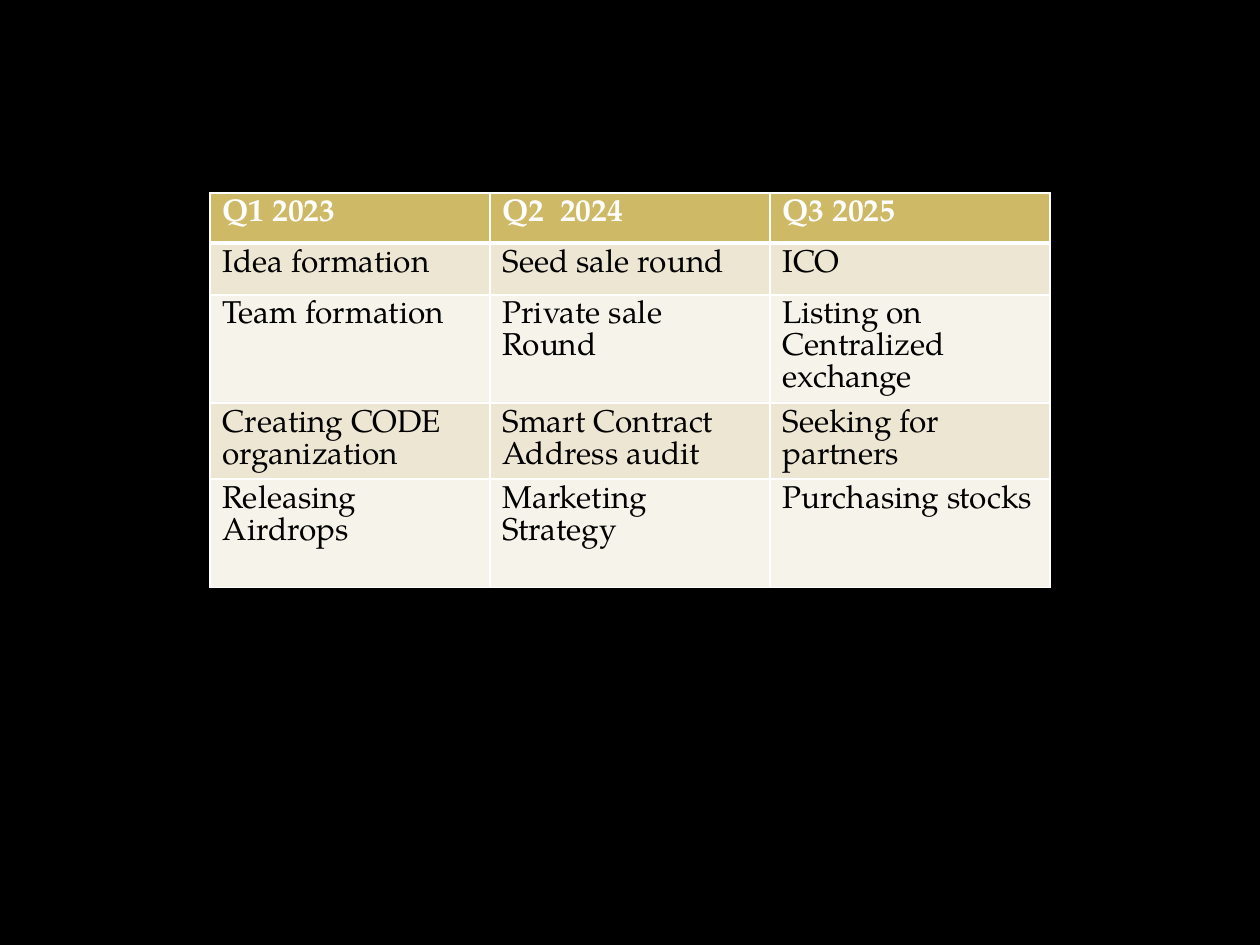
from lxml.etree import SubElement
from pptx import Presentation
from pptx.dml.color import RGBColor
from pptx.oxml.ns import qn
from pptx.util import Inches, Pt

# Content: one row per step, one column per quarter
ROWS = [
    ("Q1 2023", "Q2  2024", "Q3 2025"),
    ("Idea formation", "Seed sale round", "ICO"),
    ("Team formation", "Private sale Round", "Listing on Centralized exchange"),
    ("Creating CODE organization", "Smart Contract Address audit",
     "Seeking for partners"),
    ("Releasing Airdrops", "Marketing Strategy", "Purchasing stocks"),
]
HIGH = [0.4, 0.41, 0.86, 0.6, 0.86]

FONT = "TeX Gyre Pagella"
BLACK = RGBColor(0, 0, 0)
WHITE = RGBColor(255, 255, 255)
GOLD = RGBColor(0xCE, 0xB9, 0x66)
BANDS = [RGBColor(0xF6, 0xF3, 0xEA), RGBColor(0xED, 0xE6, 0xD3)]


def edge(cell, sides):
    """Draw white cell borders; sides maps a side to its width in points."""
    props = cell._tc.get_or_add_tcPr()
    for spot, (side, wide) in enumerate(sides.items()):
        line = SubElement(props, qn("a:ln" + side), w=str(Pt(wide)))
        fill = SubElement(line, qn("a:solidFill"))
        SubElement(fill, qn("a:srgbClr"), val=str(WHITE))
        props.insert(spot, line)


# Slide with a black ground
deck = Presentation()
deck.slide_width, deck.slide_height = Inches(10), Inches(7.5)
slide = deck.slides.add_slide(deck.slide_layouts[6])
back = slide.background.fill
back.solid()
back.fore_color.rgb = BLACK

# Table: two thirds of the slide wide, centred
wide = deck.slide_width * 2 // 3
left = (deck.slide_width - wide) // 2
table = slide.shapes.add_table(len(ROWS), len(ROWS[0]), left, Inches(1.53),
                               wide, Inches(sum(HIGH))).table
for row, high in zip(table.rows, HIGH):
    row.height = Inches(high)

# Cells: gold header, then bands
for r, words in enumerate(ROWS):
    head = r == 0
    for c, word in enumerate(words):
        cell = table.cell(r, c)
        cell.text_frame.text = word
        font = cell.text_frame.paragraphs[0].runs[0].font
        font.name, font.size, font.bold = FONT, Pt(18), head
        font.color.rgb = WHITE if head else BLACK
        cell.fill.solid()
        cell.fill.fore_color.rgb = GOLD if head else BANDS[r % 2]
        edge(cell, {"L": 1, "R": 1, "T": 3 if r == 1 else 1,
                    "B": 3 if head else 1})

deck.save("out.pptx")
